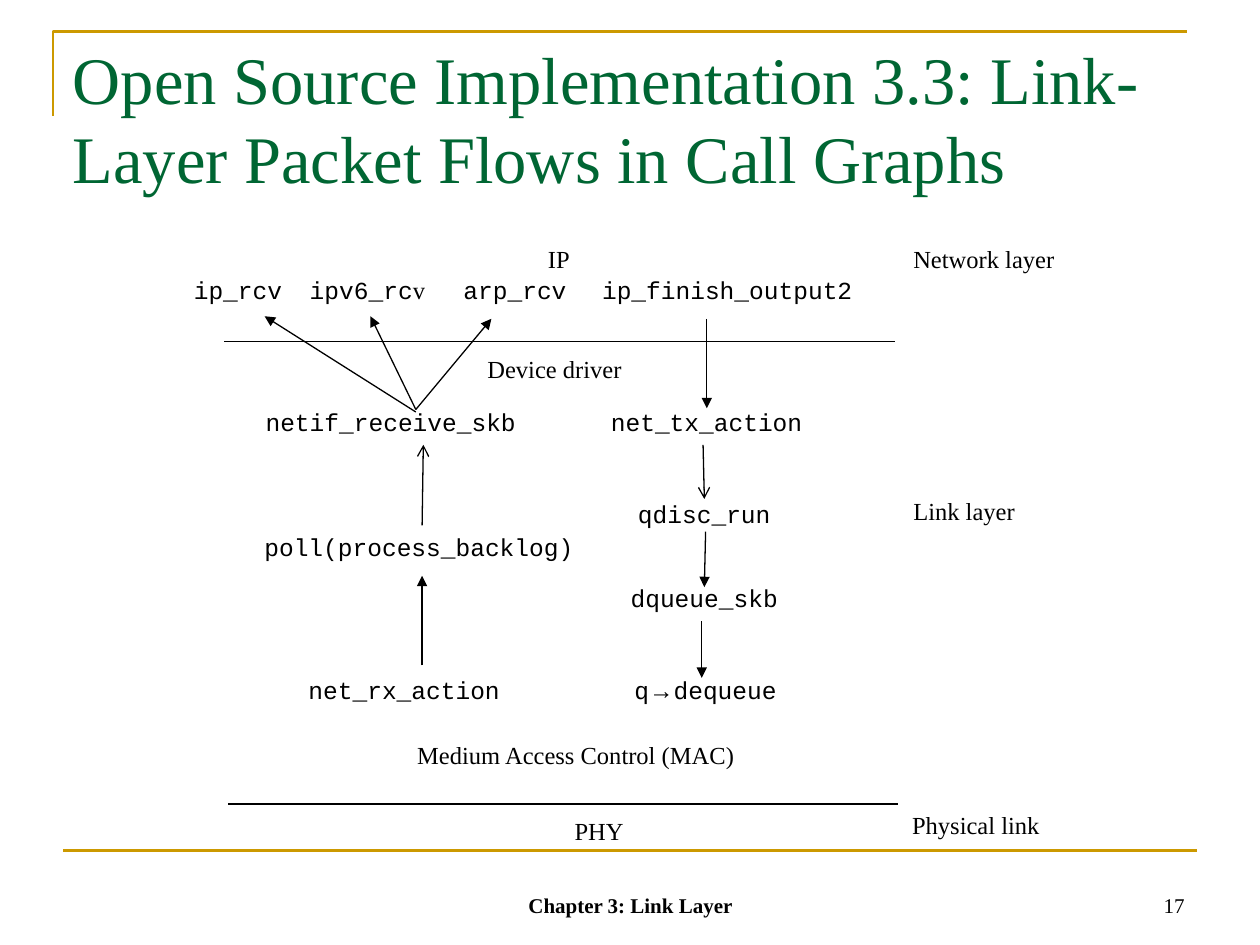
from lxml import etree
from pptx import Presentation
from pptx.dml.color import RGBColor
from pptx.enum.shapes import MSO_CONNECTOR
from pptx.enum.text import MSO_ANCHOR, PP_ALIGN
from pptx.oxml.ns import qn
from pptx.util import Inches, Pt

LEFT, MID, RIGHT = PP_ALIGN.LEFT, PP_ALIGN.CENTER, PP_ALIGN.RIGHT
TOP, BASE = MSO_ANCHOR.TOP, MSO_ANCHOR.BOTTOM
STRAIGHT = MSO_CONNECTOR.STRAIGHT

COLORS = {"ink": "000000", "title": "006633", "gold": "CC9900"}
SERIF, MONO, SANS = "Times New Roman", "Courier New", "Arial"


def color(name):
    return RGBColor.from_string(COLORS[name])


def add_text(slide, text, x, y, w, h, size=14, font=SERIF, ink="ink",
             bold=False, align=LEFT, anchor=TOP, pad=0.05, pitch=None):
    """Text is a string, or a list of (string, font) runs."""
    box = slide.shapes.add_textbox(Inches(x), Inches(y), Inches(w), Inches(h))
    frame = box.text_frame
    frame.word_wrap = True
    frame.vertical_anchor = anchor
    frame.margin_top = Inches(pad)
    para = frame.paragraphs[0]
    para.alignment = align
    if pitch:
        para.line_spacing = Pt(pitch)
    runs = [(text, font)] if isinstance(text, str) else text
    for part, face in runs:
        run = para.add_run()
        run.text = part
        run.font.name = face
        run.font.size = Pt(size)
        run.font.bold = bold
        run.font.color.rgb = color(ink)


def add_line(slide, start, end, ink="ink", width=0.75, tip=None):
    line = slide.shapes.add_connector(
        STRAIGHT, *(Inches(v) for v in (*start, *end)))
    line.line.color.rgb = color(ink)
    line.line.width = Pt(width)
    if tip:
        etree.SubElement(line.line._get_or_add_ln(), qn("a:tailEnd"), type=tip)
    etree.SubElement(line._element.spPr, qn("a:effectLst"))


def add_frame(slide):
    """Gold corner above the title and rule above the footer."""
    pen = slide.shapes.build_freeform(Inches(0.42), Inches(0.92))
    pen.add_line_segments([(Inches(0.42), Inches(0.25)),
                           (Inches(9.42), Inches(0.25))], close=False)
    corner = pen.convert_to_shape()
    corner.shadow.inherit = False
    corner.fill.background()
    corner.line.color.rgb = color("gold")
    corner.line.width = Pt(1.5)
    add_line(slide, (0.5, 6.75), (9.5, 6.75), ink="gold", width=1.5)


def add_layers(slide):
    # Layer borders
    for x, y in [(1.78, 2.71), (1.81, 6.38)]:
        add_line(slide, (x, y), (x + 5.32, y))
    # Layer names at the right
    for text, x, y in [("Network layer", 7.15, 1.89),
                       ("Link layer", 7.15, 3.89),
                       ("Physical link", 7.14, 6.38)]:
        add_text(slide, text, x, y, 1.71, 0.5)
    # Parts inside the layers
    for text, x, y, w, align in [
            ("IP", 3.44, 1.89, 1.99, MID),
            ("Device driver", 3.77, 2.76, 1.57, LEFT),
            ("Medium Access Control (MAC)", 2.95, 5.82, 3.24, MID),
            ("PHY", 2.76, 6.43, 3.99, MID)]:
        add_text(slide, text, x, y, w, 0.42, align=align)


def add_calls(slide):
    # Function names
    for text, x, y, w, align in [
            ("ip_rcv", 1.44, 2.13, 1.14, LEFT),
            ([("ipv6_rc", MONO), ("v", SERIF)], 2.36, 2.13, 1.32, LEFT),
            ("arp_rcv", 3.58, 2.13, 1.21, LEFT),
            ("ip_finish_output2", 4.68, 2.13, 2.45, LEFT),
            ("netif_receive_skb", 2.01, 3.18, 2.66, LEFT),
            ("poll(process_backlog)", 2, 4.17, 2.7, LEFT),
            ("net_rx_action", 2.35, 5.31, 2.03, LEFT),
            ("net_tx_action", 4.75, 3.18, 2.02, LEFT),
            ("qdisc_run", 4.52, 3.91, 2.14, MID),
            ("dqueue_skb", 4.52, 4.58, 2.14, MID),
            ([("q", MONO), ("→", SANS), ("dequeue", MONO)],
             4.53, 5.31, 2.14, MID)]:
        add_text(slide, text, x, y, w, 0.46, font=MONO, align=align)
    # Call arrows: receive path upward, then send path downward
    for start, end, tip in [
            ((3.35, 5.28), (3.35, 4.57), "triangle"),
            ((3.35, 4.17), (3.36, 3.53), "arrow"),
            ((3.3, 3.27), (2.1, 2.51), "triangle"),
            ((3.3, 3.25), (2.94, 2.51), "triangle"),
            ((3.3, 3.25), (3.9, 2.53), "triangle"),
            ((5.61, 2.53), (5.61, 3.24), "triangle"),
            ((5.58, 3.53), (5.59, 3.96), "arrow"),
            ((5.6, 4.22), (5.59, 4.66), "triangle"),
            ((5.57, 4.93), (5.57, 5.38), "triangle")]:
        add_line(slide, start, end, tip=tip)


def main():
    deck = Presentation()
    deck.slide_width, deck.slide_height = Inches(10), Inches(7.5)
    slide = deck.slides.add_slide(deck.slide_layouts[6])
    add_frame(slide)
    add_text(slide, "Open Source Implementation 3.3: Link-Layer Packet Flows "
             "in Call Graphs", 0.48, 0.21, 9, 1.25, size=38, ink="title",
             pad=0.1, pitch=45)
    add_layers(slide)
    add_calls(slide)
    # Footer
    add_text(slide, "Chapter 3: Link Layer", 3.42, 6.83, 3.17, 0.5, size=12,
             bold=True, align=MID, anchor=BASE)
    add_text(slide, "17", 7.17, 6.83, 2.33, 0.5, size=12, align=RIGHT,
             anchor=BASE)
    deck.save("out.pptx")


if __name__ == "__main__":
    main()
